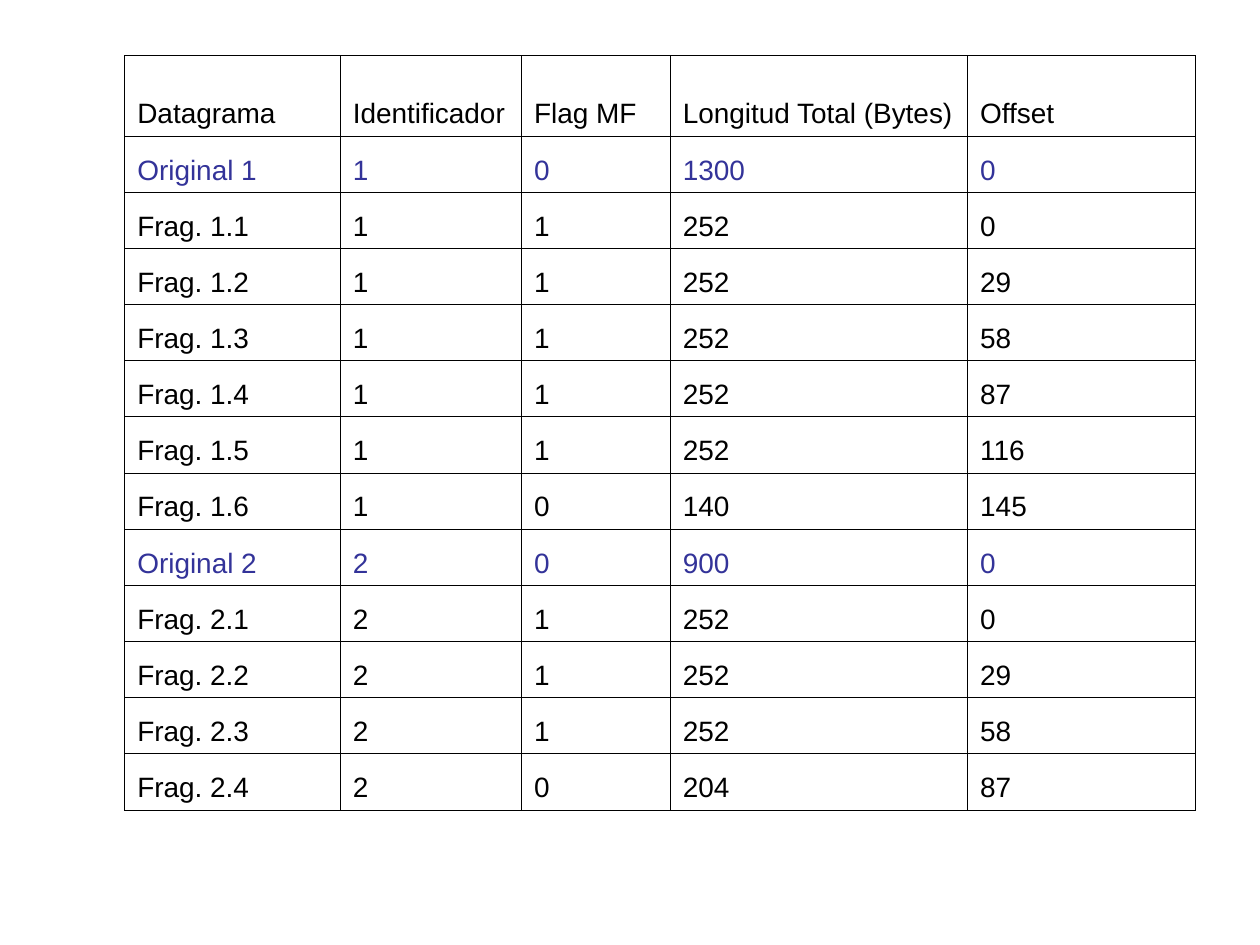
from dataclasses import dataclass

from lxml.etree import SubElement
from pptx import Presentation
from pptx.dml.color import RGBColor
from pptx.enum.text import MSO_ANCHOR
from pptx.oxml.ns import qn
from pptx.util import Inches, Pt


@dataclass(frozen=True)
class Theme:
    """Colours, type and line sizes of the slide."""
    font: str = "Arial"
    size: float = 16
    text: str = "000000"
    original: str = "333399"
    border: str = "000000"
    border_width: float = 0.45


THEME = Theme()
COLUMN_WIDTHS = (1.71, 1.44, 1.18, 2.36, 1.81)
HEADER_HEIGHT = Inches(0.64)
HANGING_INDENT = Inches(0.38)
HEADINGS = ("Datagrama", "Identificador", "Flag MF", "Longitud Total (Bytes)", "Offset")
DATAGRAMS = (
    ("Original 1", 1, 0, 1300, 0),
    ("Frag. 1.1", 1, 1, 252, 0),
    ("Frag. 1.2", 1, 1, 252, 29),
    ("Frag. 1.3", 1, 1, 252, 58),
    ("Frag. 1.4", 1, 1, 252, 87),
    ("Frag. 1.5", 1, 1, 252, 116),
    ("Frag. 1.6", 1, 0, 140, 145),
    ("Original 2", 2, 0, 900, 0),
    ("Frag. 2.1", 2, 1, 252, 0),
    ("Frag. 2.2", 2, 1, 252, 29),
    ("Frag. 2.3", 2, 1, 252, 58),
    ("Frag. 2.4", 2, 0, 204, 87),
)


def add_borders(cell):
    """Draw a thin line on all four sides of a cell."""
    properties = cell._tc.get_or_add_tcPr()
    for position, side in enumerate(("a:lnL", "a:lnR", "a:lnT", "a:lnB")):
        line = SubElement(properties, qn(side), w=str(Pt(THEME.border_width)))
        fill = SubElement(line, qn("a:solidFill"))
        SubElement(fill, qn("a:srgbClr"), val=THEME.border)
        properties.insert(position, line)


def fill_cell(cell, text, color):
    """Write and format one cell of the table."""
    cell.fill.background()
    add_borders(cell)
    cell.vertical_anchor = MSO_ANCHOR.BOTTOM
    cell.margin_left = cell.margin_right = Inches(0.1)
    cell.margin_top = cell.margin_bottom = Inches(0.05)
    para = cell.text_frame.paragraphs[0]
    para.text = str(text)
    properties = para._p.get_or_add_pPr()
    properties.set("marL", str(HANGING_INDENT))
    properties.set("indent", str(-HANGING_INDENT))
    for span in para.runs:
        span.font.name = THEME.font
        span.font.size = Pt(THEME.size)
        span.font.color.rgb = RGBColor.from_string(color)


def add_fragment_table(page, left, top, width, height):
    """Place the table of datagrams and their fragments in the given box."""
    records = (HEADINGS, *DATAGRAMS)
    frame = page.shapes.add_table(len(records), len(HEADINGS), left, top, width, height)
    table = frame.table
    table.first_row = table.horz_banding = False
    for column, share in zip(table.columns, COLUMN_WIDTHS):
        column.width = int(width * share / sum(COLUMN_WIDTHS))
    body_height = (height - HEADER_HEIGHT) // len(DATAGRAMS)
    for index, (row, record) in enumerate(zip(table.rows, records)):
        row.height = body_height if index else HEADER_HEIGHT
        color = THEME.original if record[0].startswith("Original") else THEME.text
        for cell, text in zip(row.cells, record):
            fill_cell(cell, text, color)


def main():
    """Build and save the deck."""
    deck = Presentation()
    deck.slide_width, deck.slide_height = Inches(10), Inches(7.5)
    page = deck.slides.add_slide(deck.slide_layouts[6])
    add_fragment_table(page, Inches(0.99), Inches(0.44), Inches(8.5), Inches(5.99))
    deck.save("out.pptx")


if __name__ == "__main__":
    main()
